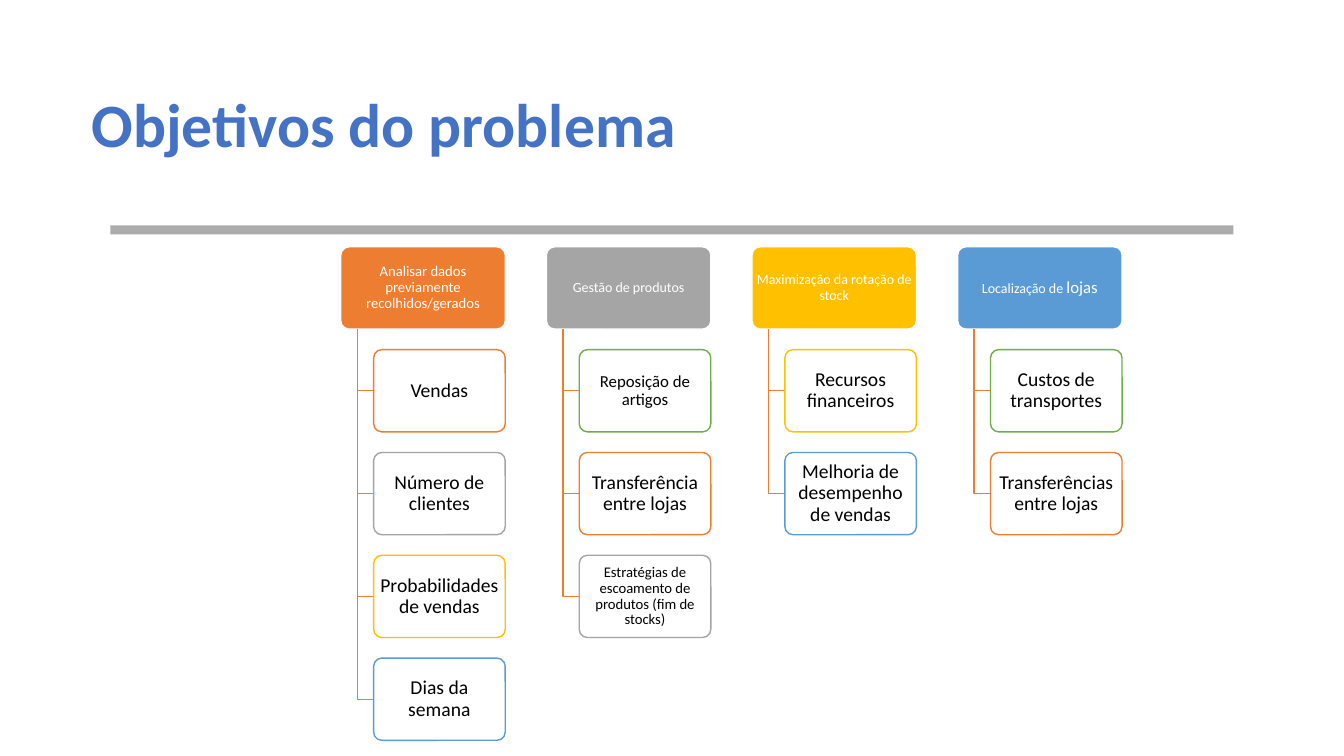
"""Build the slide of problem objectives as a four-branch hierarchy."""
import pptx
import pptx.util
import pptx.dml.color
import pptx.enum.shapes
import pptx.enum.text
import pptx.oxml
import pptx.oxml.ns

Pt = pptx.util.Pt
RGBColor = pptx.dml.color.RGBColor
SHAPES = pptx.enum.shapes.MSO_SHAPE

WHITE = RGBColor(0xFF, 0xFF, 0xFF)
BLACK = RGBColor(0x00, 0x00, 0x00)
TITLE_BLUE = RGBColor(0x44, 0x72, 0xC4)
RULE_GRAY = RGBColor(0x80, 0x80, 0x80)
ORANGE = RGBColor(0xED, 0x7D, 0x31)
GRAY = RGBColor(0xA5, 0xA5, 0xA5)
GOLD = RGBColor(0xFF, 0xC0, 0x00)
BLUE = RGBColor(0x5B, 0x9B, 0xD5)
GREEN = RGBColor(0x70, 0xAD, 0x47)

FONT = "Calibri"
TREE_LEFT, TREE_TOP = 243.4, 176.3
BOX_HEIGHT = 58.75
GOAL_WIDTH = 2 * BOX_HEIGHT
TASK_WIDTH = 1.6 * BOX_HEIGHT
TASK_INDENT = GOAL_WIDTH - TASK_WIDTH
COLUMN_STEP = 2.5 * BOX_HEIGHT
ROW_STEP = 1.25 * BOX_HEIGHT

GOALS = [
    ([("Analisar dados previamente recolhidos/gerados", 10.5)], ORANGE, [
        ("Vendas", 14, ORANGE),
        ("Número de clientes", 14, GRAY),
        ("Probabilidades de vendas", 14, GOLD),
        ("Dias da semana", 14, BLUE),
    ]),
    ([("Gestão de produtos", 10)], GRAY, [
        ("Reposição de artigos", 12, GREEN),
        ("Transferência entre lojas", 14, ORANGE),
        ("Estratégias de escoamento de produtos (fim de stocks)", 10.5, GRAY),
    ]),
    ([("Maximização da rotação de stock", 10)], GOLD, [
        ("Recursos financeiros", 14, GOLD),
        ("Melhoria de desempenho de vendas", 14, BLUE),
    ]),
    ([("Localização de ", 10), ("lojas", 12)], BLUE, [
        ("Custos de transportes", 14, GREEN),
        ("Transferências entre lojas", 14, ORANGE),
    ]),
]


def set_opacity(shape, percent):
    """Make the solid fill of a shape partly transparent."""
    color = shape.fill._xPr.find(".//" + pptx.oxml.ns.qn("a:srgbClr"))
    alpha = pptx.oxml.parse_xml(
        f'<a:alpha {pptx.oxml.ns.nsdecls("a")} val="{percent * 1000}"/>')
    color.append(alpha)


def add_title(slide, wording):
    """Add the slide title."""
    title = slide.shapes.add_textbox(Pt(58.3), Pt(38.9), Pt(823), Pt(104.4))
    frame = title.text_frame
    frame.word_wrap = True
    frame.vertical_anchor = pptx.enum.text.MSO_ANCHOR.MIDDLE
    heading = frame.paragraphs[0]
    heading.text = wording
    heading.line_spacing = 0.9
    heading.font.name = FONT
    heading.font.size = Pt(44)
    heading.font.bold = True
    heading.font.color.rgb = TITLE_BLUE


def add_rule(slide):
    """Add the gray bar under the title."""
    rule = slide.shapes.add_shape(
        SHAPES.RECTANGLE, Pt(78.8), Pt(161), Pt(802.3), Pt(6.5))
    rule.shadow.inherit = False
    rule.fill.solid()
    rule.fill.fore_color.rgb = RULE_GRAY
    set_opacity(rule, 65)
    rule.line.fill.background()


def add_box(slide, left, top, width, runs, fill, outline, ink):
    """Add a rounded box with centred text and return it."""
    box = slide.shapes.add_shape(
        SHAPES.ROUNDED_RECTANGLE, Pt(left), Pt(top), Pt(width), Pt(BOX_HEIGHT))
    box.adjustments[0] = 0.1
    box.shadow.inherit = False
    box.fill.solid()
    box.fill.fore_color.rgb = fill
    box.line.color.rgb = outline
    box.line.width = Pt(1)
    frame = box.text_frame
    frame.word_wrap = True
    frame.vertical_anchor = pptx.enum.text.MSO_ANCHOR.MIDDLE
    frame.margin_left = frame.margin_right = Pt(1.5)
    frame.margin_top = frame.margin_bottom = Pt(1)
    label = frame.paragraphs[0]
    label.alignment = pptx.enum.text.PP_ALIGN.CENTER
    label.line_spacing = 0.9
    label.font.name = FONT
    label.font.color.rgb = ink
    for wording, size in runs:
        run = label.add_run()
        run.text = wording
        run.font.size = Pt(size)
    return box


def add_branch(slide, left, top, right, bottom):
    """Add an elbow line going down and then right."""
    builder = slide.shapes.build_freeform(Pt(left), Pt(top))
    builder.add_line_segments(
        [(Pt(left), Pt(bottom)), (Pt(right), Pt(bottom))], close=False)
    branch = builder.convert_to_shape()
    branch.shadow.inherit = False
    branch.fill.background()
    branch.line.color.rgb = ORANGE
    branch.line.width = Pt(1)


def add_goal(slide, left, runs, color, tasks):
    """Add one goal with its column of tasks."""
    add_box(slide, left, TREE_TOP, GOAL_WIDTH, runs, color, WHITE, WHITE)
    task_left = left + TASK_INDENT
    for row, (wording, size, outline) in enumerate(tasks, start=1):
        top = TREE_TOP + row * ROW_STEP
        add_branch(slide, left + TASK_INDENT / 2, TREE_TOP + BOX_HEIGHT,
                   task_left, top + BOX_HEIGHT / 2)
        task = add_box(slide, task_left, top, TASK_WIDTH,
                       [(wording, size)], WHITE, outline, BLACK)
        set_opacity(task, 90)


def main():
    """Create the presentation and save it."""
    deck = pptx.Presentation()
    deck.slide_width, deck.slide_height = Pt(960), Pt(540)
    slide = deck.slides.add_slide(deck.slide_layouts[6])
    add_title(slide, "Objetivos do problema")
    add_rule(slide)
    for column, (runs, color, tasks) in enumerate(GOALS):
        add_goal(slide, TREE_LEFT + column * COLUMN_STEP, runs, color, tasks)
    deck.save("out.pptx")


if __name__ == "__main__":
    main()
